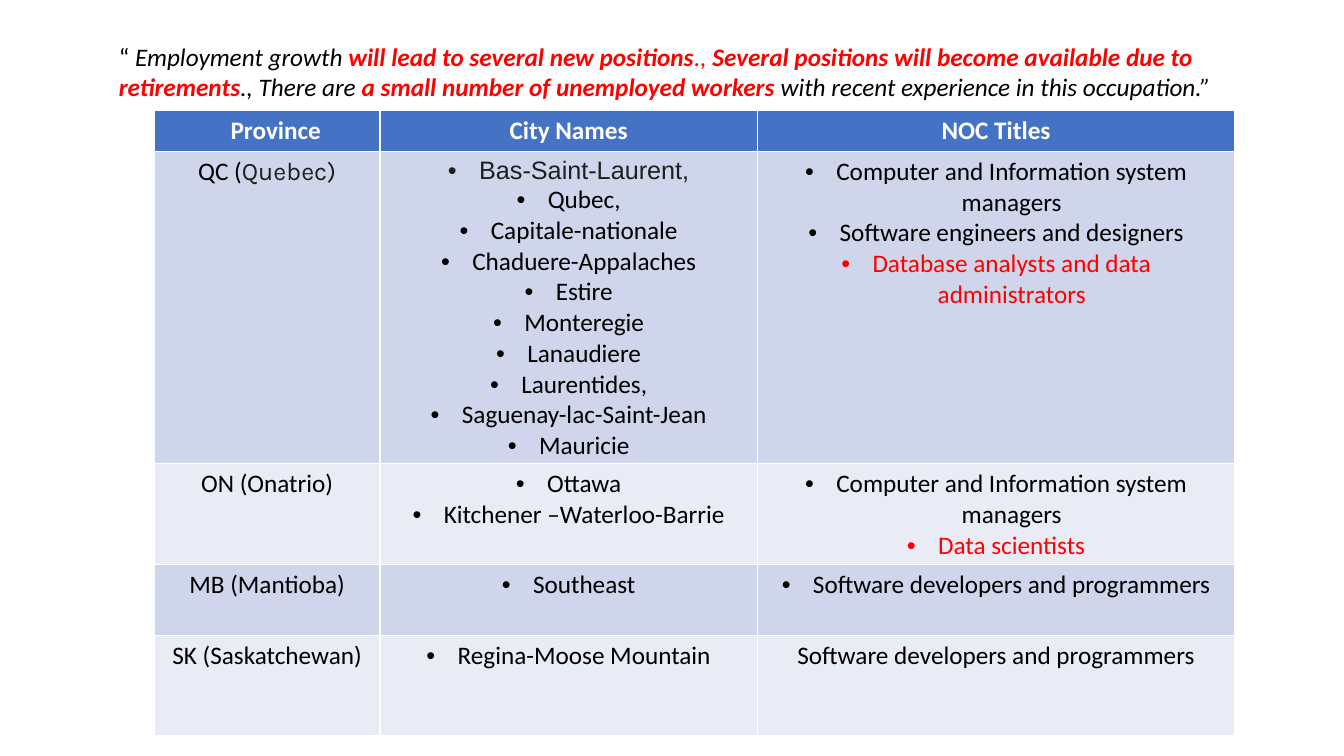
from lxml import etree
from pptx import Presentation
from pptx.dml.color import RGBColor
from pptx.enum.text import PP_ALIGN
from pptx.oxml.ns import qn
from pptx.util import Inches, Pt

CENTER = PP_ALIGN.CENTER
BLACK, RED, GREY, WHITE = "000000", "FF0000", "1F1F1F", "FFFFFF"
BLUE, BANDS = "4472C4", ("CFD5EA", "E9EBF5")

# text, colour, bold, italic
QUOTE = [
    ("“ ", BLACK, False, False),
    ("Employment growth ", BLACK, False, True),
    ("will lead to several new positions", RED, True, True),
    ("., ", RED, False, True),
    ("Several positions will become available due to retirements", RED, True, True),
    ("., There are ", BLACK, False, True),
    ("a small number of unemployed workers ", RED, True, True),
    ("with recent experience in this occupation.”", BLACK, False, True),
]
HEADS = ["Province", "City Names", "NOC Titles"]
# province, cities, titles; a list is bulleted, a plain string is not
ROWS = [
    ("QC (Quebec)",
     ["Bas-Saint-Laurent,", "Qubec,", "Capitale-nationale",
      "Chaduere-Appalaches", "Estire", "Monteregie", "Lanaudiere",
      "Laurentides,", "Saguenay-lac-Saint-Jean", "Mauricie"],
     ["Computer and Information system managers",
      "Software engineers and designers",
      "Database analysts and data administrators"]),
    ("ON (Onatrio)",
     ["Ottawa", "Kitchener –Waterloo-Barrie"],
     ["Computer and Information system managers", "Data scientists"]),
    ("MB (Mantioba)", ["Southeast"], ["Software developers and programmers"]),
    ("SK (Saskatchewan)", ["Regina-Moose Mountain"],
     "Software developers and programmers"),
]
# lines whose runs differ from plain black Calibri: text, font, colour
SPECIAL = {
    "QC (Quebec)": [("QC (", "Calibri", BLACK), ("Quebec)", "Karla", GREY)],
    "Bas-Saint-Laurent,": [("Bas-Saint-Laurent,", "Arial", GREY)],
    "Database analysts and data administrators": [
        ("Database analysts and data administrators", "Calibri", RED)],
    "Data scientists": [("Data scientists", "Calibri", RED)],
}
WIDTHS = [2.24, 3.74, 4.74]
HEIGHTS = [0.4, 3.1, 1, 0.7, 1]


def rgb(code):
    return RGBColor.from_string(code)


def add_run(para, text, color, font="Calibri", bold=False, italic=False):
    run = para.add_run()
    run.text = text
    face = run.font
    face.name, face.size = font, Pt(18)
    face.bold, face.italic = bold, italic
    face.color.rgb = rgb(color)


def add_bullet(para):
    props = para._p.get_or_add_pPr()
    props.set("marL", str(Inches(0.31)))
    props.set("indent", str(-Inches(0.31)))
    etree.SubElement(props, qn("a:buFont")).set("typeface", "Arial")
    etree.SubElement(props, qn("a:buChar")).set("char", "•")


def fill_cell(cell, item, back, color=BLACK, bold=False):
    cell.fill.solid()
    cell.fill.fore_color.rgb = rgb(back)
    listed = isinstance(item, list)
    frame = cell.text_frame
    for i, line in enumerate(item if listed else [item]):
        para = frame.add_paragraph() if i else frame.paragraphs[0]
        para.alignment = CENTER
        if listed:
            add_bullet(para)
        for text, font, tint in SPECIAL.get(line, [(line, "Calibri", color)]):
            add_run(para, text, tint, font, bold)


def main():
    prs = Presentation()
    prs.slide_width, prs.slide_height = Inches(13.33), Inches(7.5)
    slide = prs.slides.add_slide(prs.slide_layouts[6])

    box = slide.shapes.add_textbox(
        Inches(1.08), Inches(0.36), Inches(12.08), Inches(0.7))
    box.text_frame.word_wrap = True
    for text, color, bold, italic in QUOTE:
        add_run(box.text_frame.paragraphs[0], text, color,
                bold=bold, italic=italic)

    table = slide.shapes.add_table(
        len(HEIGHTS), len(WIDTHS), Inches(1.53), Inches(1.1),
        Inches(sum(WIDTHS)), Inches(sum(HEIGHTS))).table
    for col, width in zip(table.columns, WIDTHS):
        col.width = Inches(width)
    for row, height in zip(table.rows, HEIGHTS):
        row.height = Inches(height)
    for c, head in enumerate(HEADS):
        fill_cell(table.cell(0, c), head, BLUE, WHITE, True)
    table.cell(0, 0).margin_left = Inches(0.27)
    for r, items in enumerate(ROWS):
        for c, item in enumerate(items):
            fill_cell(table.cell(r + 1, c), item, BANDS[r % 2])

    prs.save("out.pptx")


if __name__ == "__main__":
    main()
